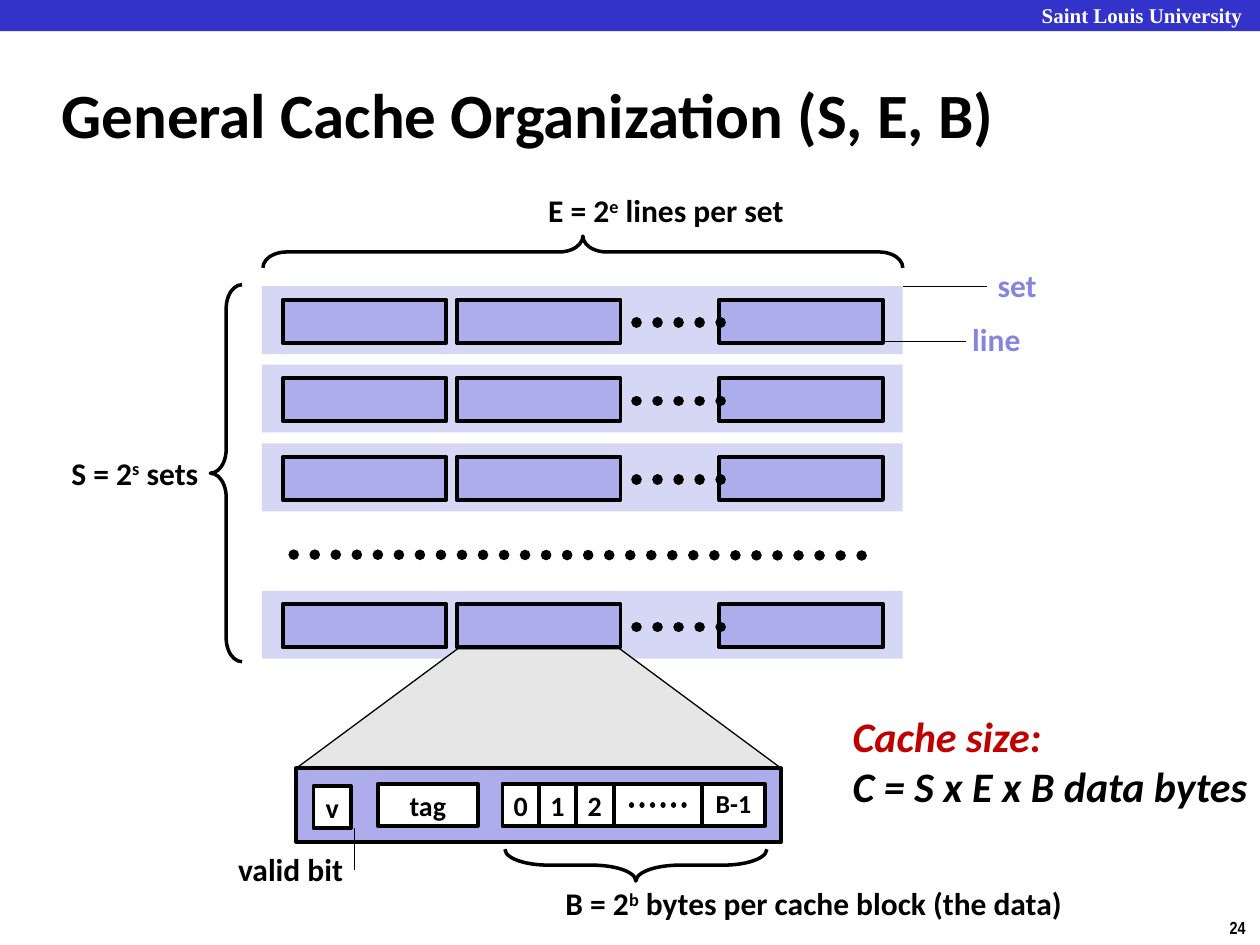
"""Build the slide on general cache organization."""
import itertools
import pptx
import pptx.util
import pptx.dml.color
import pptx.enum.shapes
import pptx.enum.text
import pptx.oxml.ns
from lxml import etree

Cm, Pt = pptx.util.Cm, pptx.util.Pt
KIND = pptx.enum.shapes.MSO_SHAPE
ALIGN = pptx.enum.text.PP_ALIGN
ANCHOR = pptx.enum.text.MSO_ANCHOR
FIT = pptx.enum.text.MSO_AUTO_SIZE


class Theme:
    """Colours, fonts and type sizes."""
    bar, black, white = "3333CC", "000000", "FFFFFF"
    band, line, name = "D6D6F5", "ADADEB", "8585E0"
    zoom, red = "E6E6E6", "C00000"
    sans, serif, narrow = "Calibri", "Times New Roman", "Arial Narrow"
    title, size, label, cell, last, head, page = 36, 24, 18, 16, 14.8, 12, 10
    thick, brace, thin, dot, small = 2.25, 2, 0.75, 6, 3


LABELS = [
    ((10.8, 3.73, 5.44, 1.02), ("E = 2", "e", " lines per set"), Theme.black),
    ((1.19, 9.02, 3.12, 1.02), ("S = 2", "s", " sets"), Theme.black),
    ((19.86, 5.23, 1.3, 1.02), ("set",), Theme.name),
    ((19.35, 6.32, 1.5, 1.02), ("line",), Theme.name),
    ((11.15, 17.7, 10.9, 1.02), ("B = 2", "b", " bytes per cache block (the data)"), Theme.black),
    ((4.55, 17.02, 2.64, 1.02), ("valid bit",), Theme.black),
]
FACTS = [("Cache size:", Theme.red), ("C = S x E x B data bytes", Theme.black)]
BRACES = [((11.43, -1.37, 0.64, 12.9), 90, 0.75),
          ((4.24, 5.74, 0.64, 7.6), 0, 0.75),
          ((12.5, 14.8, 0.64, 5.28), 270, 1.37)]
POINTERS = [(18.21, 5.77, 19.89, 5.77), (17.78, 6.88, 19.48, 6.88),
            (7.14, 17.53, 7.14, 16.69)]
SETS = [5.77, 7.35, 8.94, 11.91]
LINES = [5.7, 9.21, 14.5]
BLOCK = [("0", 0.74), ("1", 0.74), ("2", 0.76), ("", 1.78), ("B-1", 1.27)]
FIELDS = [("tag", 7.62, 15.8, 2.01), ("v", 6.32, 15.85, 0.76)]


def paint(obj, vals):
    """Set each named value on an object."""
    for key, val in vals.items():
        setattr(obj, key, val)


def rgb(code):
    """Turn a hex code into a colour."""
    return pptx.dml.color.RGBColor.from_string(code)


def write(para, parts, size, color, face=Theme.sans, **more):
    """Add runs to a paragraph, raising every second one."""
    for num, part in enumerate(parts):
        run = para.add_run()
        run.text = part
        paint(run.font, dict(size=Pt(size), name=face, bold=True, **more))
        run.font.color.rgb = rgb(color)
        if num % 2:
            run._r.get_or_add_rPr().set("baseline", "30000")


def text(home, area, rows, size, face=Theme.sans, wrap=False, fit=FIT.SHAPE_TO_FIT_TEXT,
         anchor=ANCHOR.TOP, **more):
    """Add a text box with one paragraph per row."""
    frame = home.add_textbox(*map(Cm, area)).text_frame
    paint(frame, dict(word_wrap=wrap, auto_size=fit, vertical_anchor=anchor))
    for num, (parts, color) in enumerate(rows):
        para = frame.add_paragraph() if num else frame.paragraphs[0]
        write(para, parts, size, color, face, **more)


def shape(home, kind, area, fill=None, width=0):
    """Add a preset shape with an optional fill and black outline."""
    item = home.add_shape(kind, *map(Cm, area))
    item.shadow.inherit = False
    if fill:
        item.fill.solid()
        item.fill.fore_color.rgb = rgb(fill)
    else:
        item.fill.background()
    if width:
        item.line.width = Pt(width)
        item.line.color.rgb = rgb(Theme.black)
    else:
        item.line.fill.background()
    return item


def box(home, area, word="", fill=Theme.white, size=Theme.cell, space=None):
    """Add an outlined box with a centred word."""
    item = shape(home, KIND.RECTANGLE, area, fill, Theme.thick)
    if word:
        frame = item.text_frame
        paint(frame, dict(word_wrap=False, vertical_anchor=ANCHOR.MIDDLE))
        para = frame.paragraphs[0]
        paint(para, dict(alignment=ALIGN.CENTER, line_spacing=space))
        write(para, [word], size, Theme.black)


def rule(home, ends, width, dots=False):
    """Add a straight black line, dotted with round ends if asked."""
    kind = pptx.enum.shapes.MSO_CONNECTOR.STRAIGHT
    item = home.add_connector(kind, *map(Cm, ends))
    item.line.width = Pt(width)
    item.line.color.rgb = rgb(Theme.black)
    if dots:
        stroke = item.line._get_or_add_ln()
        stroke.set("cap", "rnd")
        dash = etree.SubElement(stroke, pptx.oxml.ns.qn("a:prstDash"))
        dash.set("val", "sysDot")
    etree.SubElement(item._element.spPr, pptx.oxml.ns.qn("a:effectLst"))


def frame(home):
    """Draw the top bar, title and page number."""
    shape(home, KIND.RECTANGLE, (0, 0, 25.4, 0.63), Theme.bar)
    text(home, (20.75, -0.08, 4.83, 0.76), [(["Saint Louis University"], Theme.white)],
         Theme.head, Theme.serif, wrap=True)
    text(home, (24.54, 18.36, 0.86, 0.69), [(["24"], Theme.black)], Theme.page, Theme.narrow)
    text(home, (0.99, 1.22, 21.08, 2.11), [(["General Cache Organization (S, E, B)"], Theme.black)],
         Theme.title, wrap=True, fit=FIT.NONE, anchor=ANCHOR.MIDDLE)


def cache(home):
    """Draw the sets with their lines."""
    for top in SETS:
        group = home.add_group_shape().shapes
        shape(group, KIND.RECTANGLE, (5.28, top, 12.92, 1.37), Theme.band)
        for left in LINES:
            box(group, (left, top + 0.27, 3.3, 0.87), fill=Theme.line)
        rule(group, (12.83, top + 0.73, 14.53, top + 0.73), Theme.dot, True)
    rule(home, (5.92, 11.18, 17.78, 11.2), Theme.dot, True)


def detail(home):
    """Draw one line enlarged with its fields and bytes."""
    cone = shape(home, KIND.TRAPEZOID, (5.97, 13.08, 9.78, 2.41), Theme.zoom, Theme.thin)
    cone.adjustments[0] = 1.351
    box(home, (5.97, 15.49, 9.78, 1.48), fill=Theme.line)
    steps = itertools.accumulate((wide for _, wide in BLOCK), initial=10.13)
    for (word, wide), left in zip(BLOCK, steps):
        last = word == "B-1"
        box(home, (left, 15.8, wide, 0.85), word,
            size=Theme.last if last else Theme.cell, space=0.9 if last else None)
    rule(home, (12.73, 16.23, 14, 16.23), Theme.small, True)
    for word, left, top, wide in FIELDS:
        box(home, (left, top, wide, 0.85), word)


def notes(home):
    """Draw the braces, pointers and labels."""
    for area, turn, curl in BRACES:
        item = shape(home, KIND.LEFT_BRACE, area, width=Theme.brace)
        item.rotation = turn
        item.adjustments[0] = curl
    for ends in POINTERS:
        rule(home, ends, Theme.thin)
    for area, parts, color in LABELS:
        text(home, area, [(parts, color)], Theme.label)
    text(home, (16.94, 14.2, 8.76, 2.31), [([line], color) for line, color in FACTS],
         Theme.size, italic=True)


def main():
    """Build and save the slide."""
    deck = pptx.Presentation()
    paint(deck, dict(slide_width=Cm(25.4), slide_height=Cm(19.05)))
    home = deck.slides.add_slide(deck.slide_layouts[6]).shapes
    for draw in (frame, cache, detail, notes):
        draw(home)
    deck.save("out.pptx")


if __name__ == "__main__":
    main()
